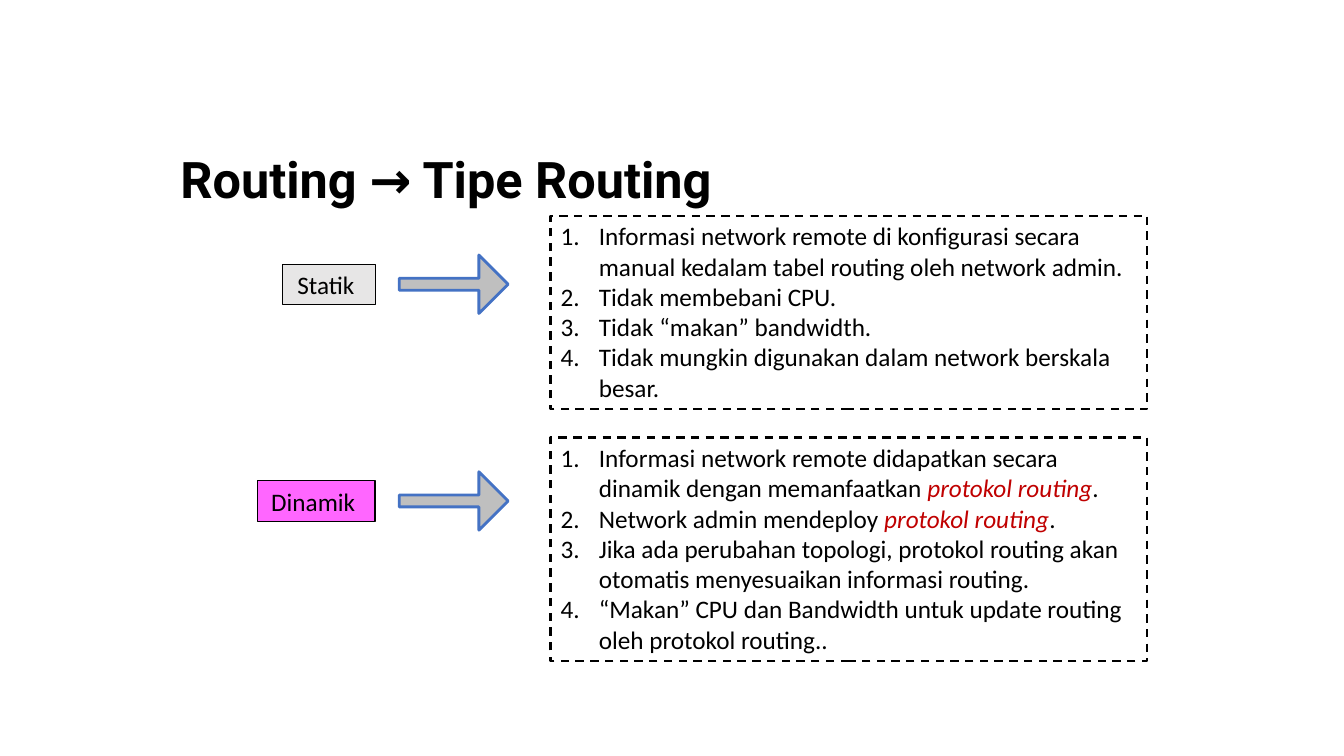
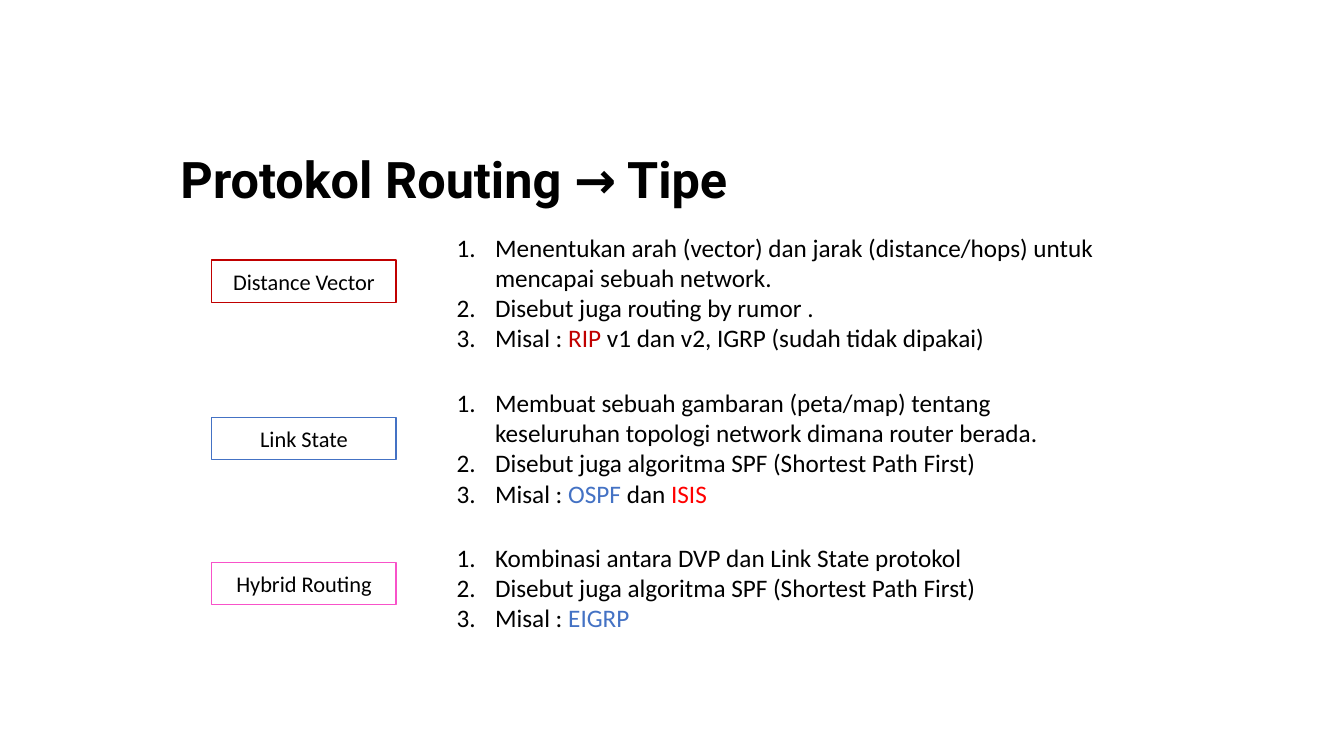
from dataclasses import dataclass

from lxml import etree
from pptx import Presentation
from pptx.dml.color import RGBColor
from pptx.enum.dml import MSO_LINE
from pptx.enum.shapes import MSO_SHAPE
from pptx.enum.text import MSO_ANCHOR, MSO_AUTO_SIZE, PP_ALIGN
from pptx.oxml.ns import qn
from pptx.util import Emu, Pt

RECTANGLE, RIGHT_ARROW = MSO_SHAPE.RECTANGLE, MSO_SHAPE.RIGHT_ARROW
DASH = MSO_LINE.DASH
TOP, MIDDLE = MSO_ANCHOR.TOP, MSO_ANCHOR.MIDDLE
LEFT, CENTER = PP_ALIGN.LEFT, PP_ALIGN.CENTER
NO_FIT = MSO_AUTO_SIZE.NONE

PX = 9144  # 100 px to the inch
COMPARISON_LAYOUT = 4  # a title and four list placeholders


@dataclass(frozen=True)
class Theme:
    title_font: str = "Roboto"
    body_font: str = "Calibri"
    title_size: int = 36
    list_size: int = 18
    small_size: int = 16
    black: str = "000000"
    light_gray: str = "E7E6E6"
    gray: str = "BFBFBF"
    blue: str = "4472C4"
    dark_red: str = "C00000"
    red: str = "FF0000"
    magenta: str = "FF66FF"
    pink: str = "F852C9"


THEME = Theme()


def px(*lengths):
    return [Emu(length * PX) for length in lengths]


class Deck:
    def __init__(self, theme):
        self.theme = theme
        self.prs = Presentation()
        self.prs.slide_width, self.prs.slide_height = px(1333, 750)
        self.slide = None
        self.free_lists = []

    def start_slide(self, title):
        layout = self.prs.slide_layouts[COMPARISON_LAYOUT]
        self.slide = self.prs.slides.add_slide(layout)
        heading, *self.free_lists = self.slide.placeholders
        self.place(heading, 169, 136, 1066, 89)
        self.set_frame(heading, MIDDLE)
        heading.text_frame.text = title
        paragraph = heading.text_frame.paragraphs[0]
        paragraph.alignment, paragraph.line_spacing = LEFT, 0.9
        self.set_font(paragraph.font, self.theme.title_size,
                      self.theme.title_font, bold=True)

    def finish_slide(self):
        for unused in self.free_lists:
            unused.element.getparent().remove(unused.element)

    # Shared formatting
    def place(self, shape, left, top, width, height):
        shape.left, shape.top, shape.width, shape.height = px(
            left, top, width, height)

    def set_frame(self, shape, anchor):
        frame = shape.text_frame
        frame.word_wrap, frame.auto_size = True, NO_FIT
        frame.vertical_anchor = anchor

    def set_font(self, font, size, name, bold=False):
        font.size, font.name, font.bold = Pt(size), name, bold
        font.color.rgb = RGBColor.from_string(self.theme.black)

    def set_line(self, shape, color, width):
        shape.line.color.rgb = RGBColor.from_string(color)
        shape.line.width = Pt(width)

    def number(self, paragraph):
        props = paragraph._p.get_or_add_pPr()
        indent = 38 * PX
        props.set("marL", str(indent))
        props.set("indent", str(-indent))
        etree.SubElement(props, qn("a:buFont"), typeface="+mj-lt")
        etree.SubElement(props, qn("a:buAutoNum"), type="arabicPeriod")

    # Elements
    def block(self, kind, box, line, line_width, fill=None):
        shape = self.slide.shapes.add_shape(kind, *px(*box))
        shape.shadow.inherit = False
        self.set_line(shape, line, line_width)
        if fill:
            shape.fill.solid()
            shape.fill.fore_color.rgb = RGBColor.from_string(fill)
        else:
            shape.fill.background()
        return shape

    def label(self, text, box, size, line, line_width, fill=None):
        shape = self.block(RECTANGLE, box, line, line_width, fill)
        self.set_frame(shape, MIDDLE)
        shape.text_frame.text = text
        paragraph = shape.text_frame.paragraphs[0]
        paragraph.alignment = CENTER
        self.set_font(paragraph.font, size, self.theme.body_font)

    def arrow(self, middle):
        arrow = self.block(RIGHT_ARROW, (396, middle - 29, 108, 58),
                           self.theme.blue, 2, self.theme.gray)
        arrow.adjustments[0] = 0.204

    def numbered_list(self, items, box, framed=False):
        """Each item is a list of runs: plain text or (text, color, italic)."""
        holder = self.free_lists.pop(0)
        self.place(holder, *box)
        self.set_frame(holder, TOP)
        if framed:
            self.set_line(holder, self.theme.black, 1.5)
            holder.line.dash_style = DASH
        frame = holder.text_frame
        for index, item in enumerate(items):
            paragraph = frame.add_paragraph() if index else frame.paragraphs[0]
            self.number(paragraph)
            paragraph.alignment = LEFT
            paragraph.space_before = Pt(0)
            self.set_font(paragraph.font, self.theme.list_size,
                          self.theme.body_font)
            for part in item:
                run = paragraph.add_run()
                if isinstance(part, str):
                    run.text = part
                else:
                    run.text, color, italic = part
                    run.font.color.rgb = RGBColor.from_string(color)
                    if italic:
                        run.font.italic = True


PROTOCOL = ("protokol routing", THEME.dark_red, True)

# label, label width, label fill, row middle, list top, list height, items
ROUTING_TYPES = [
    ("Statik ", 92, THEME.light_gray, 282, 214, 192, [
        ["Informasi network remote di konfigurasi secara manual kedalam "
         "tabel routing oleh network admin."],
        ["Tidak membebani CPU."],
        ["Tidak “makan” bandwidth."],
        ["Tidak mungkin digunakan dalam network berskala besar."],
    ]),
    ("Dinamik ", 117, THEME.magenta, 497, 434, 222, [
        ["Informasi network remote didapatkan secara dinamik dengan "
         "memanfaatkan ", PROTOCOL, "."],
        ["Network admin mendeploy ", PROTOCOL, "."],
        ["Jika ada perubahan topologi, protokol routing akan otomatis "
         "menyesuaikan informasi routing."],
        ["“Makan” CPU dan Bandwidth untuk update routing oleh protokol "
         "routing.."],
    ]),
]

# label, label line, label top, list height, items
PROTOCOL_TYPES = [
    ("Distance Vector", THEME.dark_red, 258, 131, [
        ["Menentukan arah (vector) dan jarak (distance/hops) untuk mencapai "
         "sebuah network."],
        ["Disebut juga routing by rumor ."],
        ["Misal : ", ("RIP ", THEME.dark_red, False),
         "v1 dan v2, IGRP (sudah tidak dipakai)"],
    ]),
    ("Link State", THEME.blue, 414, 131, [
        ["Membuat sebuah gambaran (peta/map) tentang keseluruhan topologi "
         "network dimana router berada."],
        ["Disebut juga algoritma SPF (Shortest Path First)"],
        ["Misal : ", ("OSPF ", THEME.blue, False), "dan ",
         ("ISIS", THEME.red, False)],
    ]),
    ("Hybrid Routing", THEME.pink, 558, 101, [
        ["Kombinasi antara DVP dan Link State protokol"],
        ["Disebut juga algoritma SPF (Shortest Path First)"],
        ["Misal : ", ("EIGRP", THEME.blue, False)],
    ]),
]


def routing_types(deck):
    deck.start_slide("Routing → Tipe Routing")
    label_right = 372
    for name, width, fill, middle, top, height, items in ROUTING_TYPES:
        deck.label(name, (label_right - width, middle - 20, width, 40),
                   THEME.list_size, THEME.black, 0.75, fill)
        deck.arrow(middle)
        deck.numbered_list(items, (546, top, 592, height), framed=True)
    deck.finish_slide()


def protocol_types(deck):
    deck.start_slide("Protokol Routing → Tipe")
    first_list, list_step = 225, 154
    for row, (name, line, top, height, items) in enumerate(PROTOCOL_TYPES):
        deck.label(name, (210, top, 183, 42), THEME.small_size, line, 1)
        deck.numbered_list(
            items, (443, first_list + row * list_step, 667, height))
    deck.finish_slide()


def main():
    deck = Deck(THEME)
    routing_types(deck)
    protocol_types(deck)
    deck.prs.save("out.pptx")


if __name__ == "__main__":
    main()
